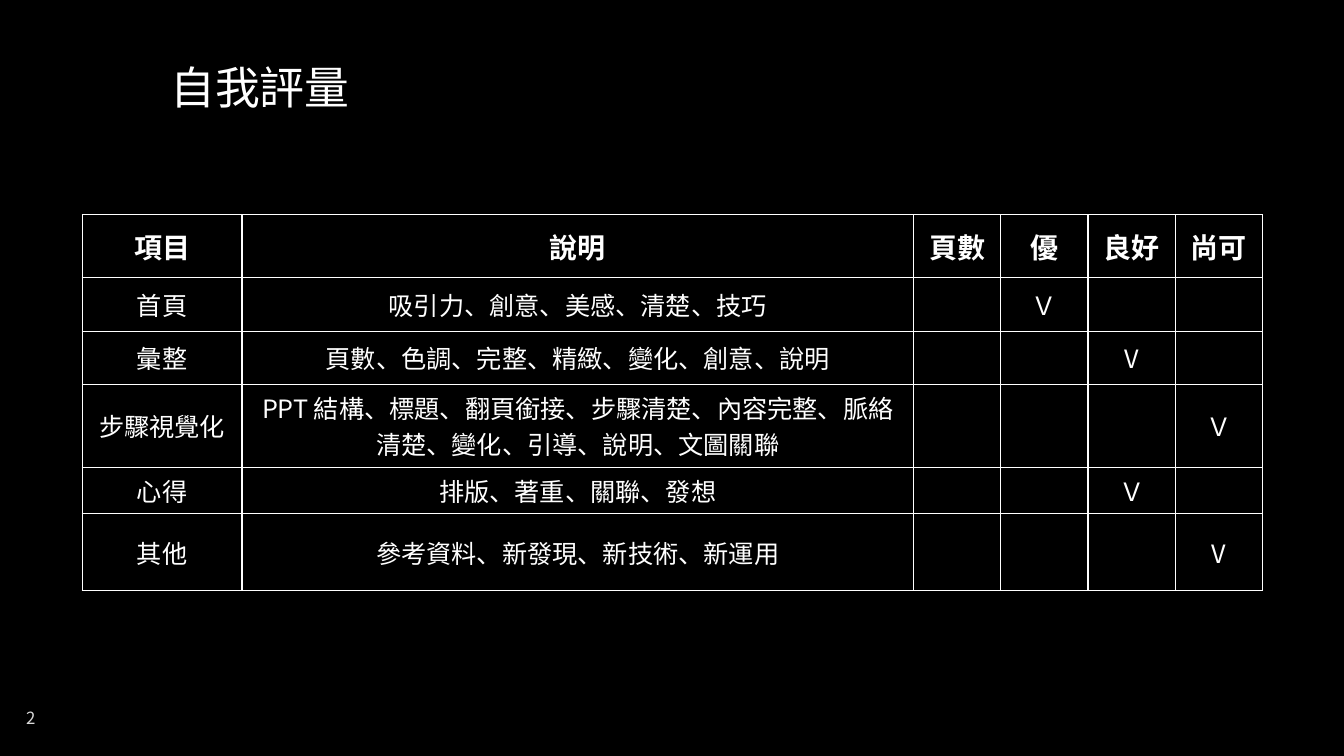
import dataclasses

import lxml.etree
import pptx
import pptx.dml.color
import pptx.enum.text
import pptx.oxml.ns
import pptx.util

Cm = pptx.util.Cm
Pt = pptx.util.Pt
Align = pptx.enum.text.PP_ALIGN
Anchor = pptx.enum.text.MSO_ANCHOR
qn = pptx.oxml.ns.qn


@dataclasses.dataclass(frozen=True)
class Theme:
    font: str = "Noto Sans CJK SC"
    back: str = "000000"
    ink: str = "FFFFFF"
    faint: str = "D9D9D9"
    title: int = 32
    head: int = 20
    body: int = 18
    small: int = 12
    line: int = 1


@dataclasses.dataclass(frozen=True)
class Row:
    height: float
    cells: tuple[str, ...]
    head: bool = False


THEME = Theme()
WIDTHS = (4.03, 16.92) + (2.2,) * 4
ROWS = (
    Row(1.58, ("項目", "說明", "頁數", "優", "良好", "尚可"), True),
    Row(1.36, ("首頁", "吸引力、創意、美感、清楚、技巧", "", "Ｖ", "", "")),
    Row(1.33, ("彙整", "頁數、色調、完整、精緻、變化、創意、說明", "", "", "V", "")),
    Row(1.9, ("步驟視覺化",
              "PPT 結構、標題、翻頁銜接、步驟清楚、內容完整、脈絡清楚、變化、引導、說明、文圖關聯",
              "", "", "", "Ｖ")),
    Row(1.1, ("心得", "排版、著重、關聯、發想", "", "", "Ｖ", "")),
    Row(1.93, ("其他", "參考資料、新發現、新技術、新運用", "", "", "", "V")),
)


def color(value: str) -> pptx.dml.color.RGBColor:
    return pptx.dml.color.RGBColor.from_string(value)


def write(frame, text: str, size: int, ink: str, align, bold: bool = False) -> None:
    frame.text = text
    for para in frame.paragraphs:
        para.alignment = align
        for run in para.runs:
            run.font.name = THEME.font
            run.font.size = Pt(size)
            run.font.bold = bold
            run.font.color.rgb = color(ink)
            east = lxml.etree.SubElement(run.font._element, qn("a:ea"))
            east.set("typeface", THEME.font)


def border(cell) -> None:
    props = cell._tc.get_or_add_tcPr()
    for spot, side in enumerate(("a:lnL", "a:lnR", "a:lnT", "a:lnB")):
        line = lxml.etree.Element(qn(side), w=str(Pt(THEME.line)))
        fill = lxml.etree.SubElement(line, qn("a:solidFill"))
        lxml.etree.SubElement(fill, qn("a:srgbClr"), val=THEME.ink)
        props.insert(spot, line)


def add_title(slide) -> None:
    title = slide.shapes.title
    title.left, title.top = Cm(4.04), Cm(1.52)
    title.width, title.height = Cm(29.21), Cm(1.57)
    frame = title.text_frame
    write(frame, "自我評量", THEME.title, THEME.ink, Align.LEFT)
    frame.auto_size = pptx.enum.text.MSO_AUTO_SIZE.NONE
    frame.vertical_anchor = Anchor.TOP
    frame.paragraphs[0].line_spacing = 0.9


def add_grid(slide) -> None:
    total = sum(row.height for row in ROWS)
    grid = slide.shapes.add_table(len(ROWS), len(WIDTHS), Cm(2.07), Cm(5.41),
                                  Cm(sum(WIDTHS)), Cm(total)).table
    for column, width in zip(grid.columns, WIDTHS):
        column.width = Cm(width)
    for line, row in zip(grid.rows, ROWS):
        line.height = Cm(row.height)
        size = THEME.head if row.head else THEME.body
        for cell, text in zip(line.cells, row.cells):
            write(cell.text_frame, text, size, THEME.ink, Align.CENTER, row.head)
            cell.vertical_anchor = Anchor.MIDDLE
            cell.fill.solid()
            cell.fill.fore_color.rgb = color(THEME.back)
            border(cell)


def add_number(slide) -> None:
    box = slide.shapes.add_textbox(Cm(0.41), Cm(17.6), Cm(1.7), Cm(0.99))
    frame = box.text_frame
    frame.word_wrap = True
    frame.vertical_anchor = Anchor.MIDDLE
    write(frame, "2", THEME.small, THEME.faint, Align.LEFT)


def main() -> None:
    deck = pptx.Presentation()
    deck.slide_width, deck.slide_height = Cm(33.87), Cm(19.05)
    slide = deck.slides.add_slide(deck.slide_layouts[5])
    slide.background.fill.solid()
    slide.background.fill.fore_color.rgb = color(THEME.back)
    add_title(slide)
    add_grid(slide)
    add_number(slide)
    deck.save("out.pptx")


if __name__ == "__main__":
    main()
